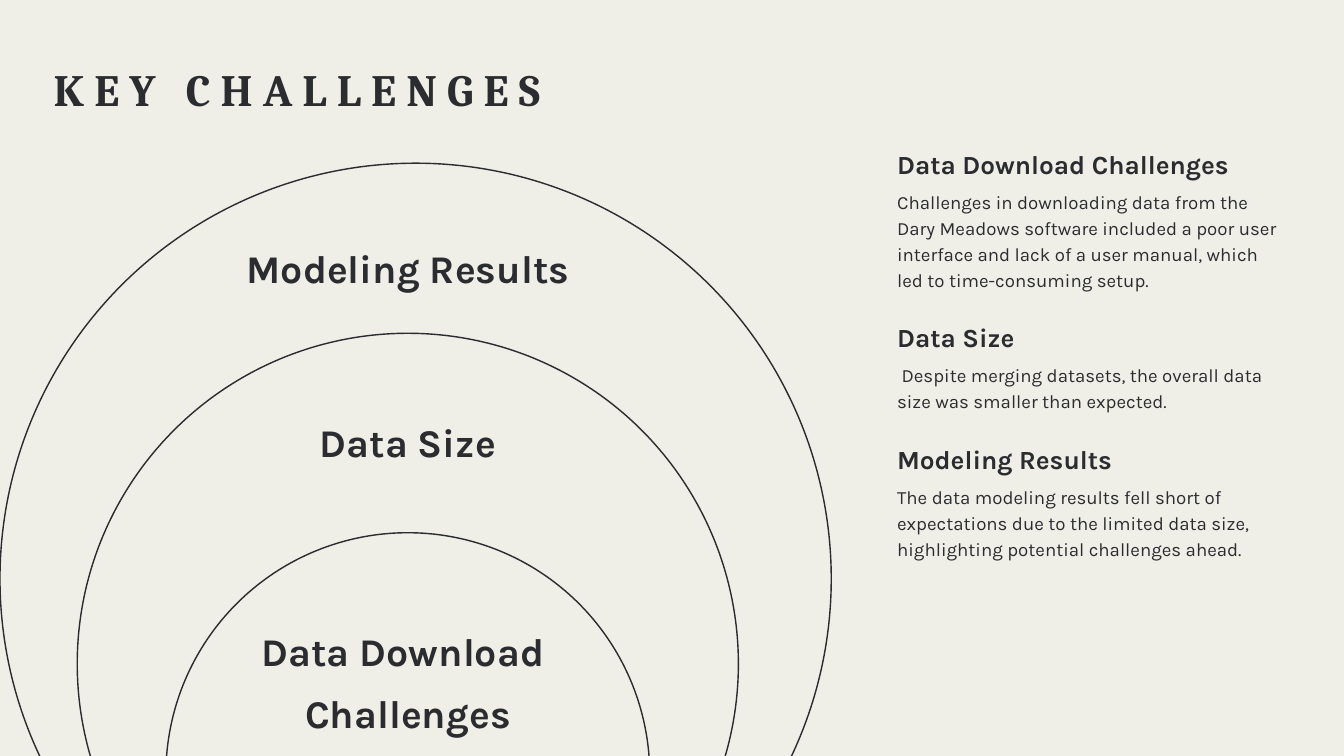
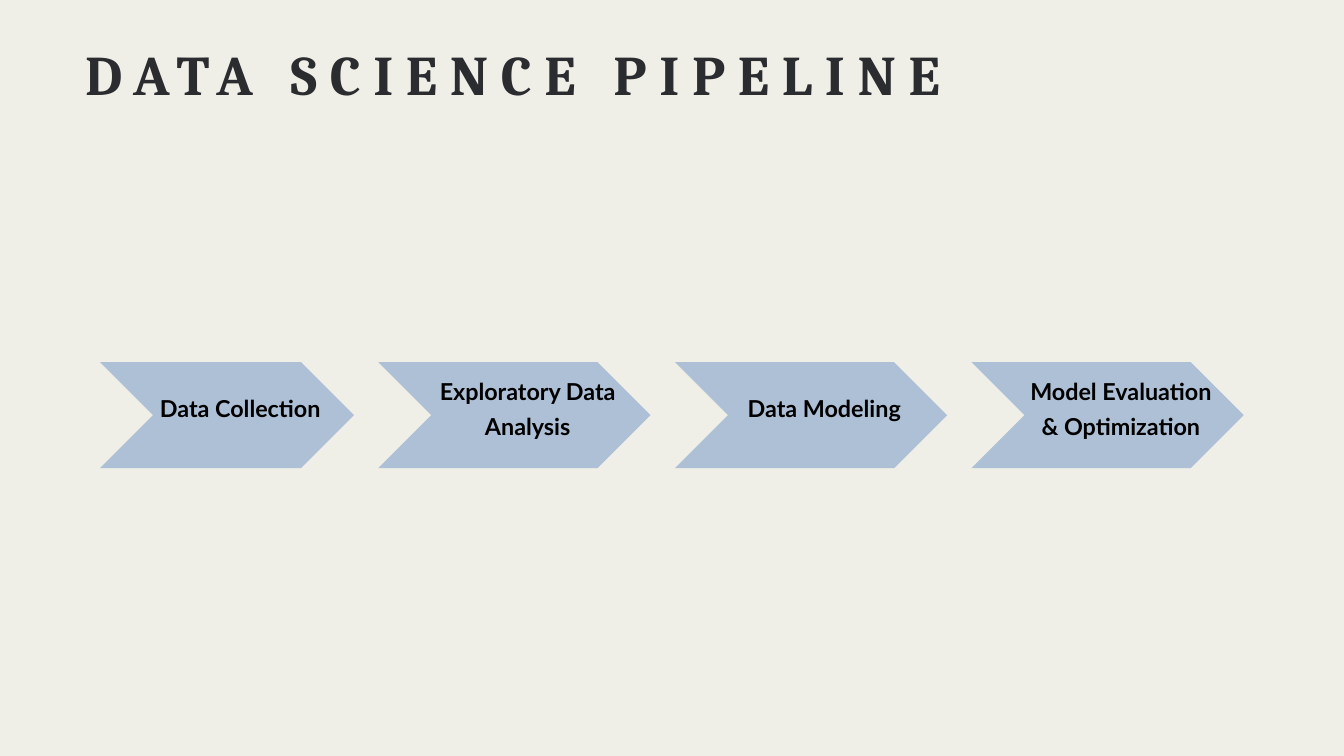
from pptx import Presentation
from pptx.dml.color import RGBColor
from pptx.enum.shapes import MSO_SHAPE
from pptx.enum.text import MSO_ANCHOR, PP_ALIGN
from pptx.util import Cm, Pt

PAPER = RGBColor(0xEF, 0xEE, 0xE7)
INK = RGBColor(0x2B, 0x2C, 0x30)
BLACK = RGBColor(0, 0, 0)
BLUE = RGBColor(0xAE, 0xC0, 0xD6)


class Deck:
    """Hold the shared style and the slide being built."""

    def __init__(self):
        self.prs = Presentation()
        self.prs.slide_width, self.prs.slide_height = Cm(50.8), Cm(28.58)
        self.s = None

    def slide(self):
        self.s = self.prs.slides.add_slide(self.prs.slide_layouts[6])
        fill = self.s.background.fill
        fill.solid()
        fill.fore_color.rgb = PAPER

    def text(self, x, y, w, h, lines, size, leading, font="Karla", color=INK, bold=True,
             align=PP_ALIGN.LEFT, anchor=MSO_ANCHOR.TOP, inset=0, spacing=None):
        tf = self.s.shapes.add_textbox(Cm(x), Cm(y), Cm(w), Cm(h)).text_frame
        tf.word_wrap = True
        tf.vertical_anchor = anchor
        tf.margin_left = tf.margin_right = tf.margin_top = tf.margin_bottom = Cm(inset)
        for i, line in enumerate(lines):
            p = tf.add_paragraph() if i else tf.paragraphs[0]
            p.alignment = align
            p.line_spacing = Pt(leading)
            r = p.add_run()
            r.text = line
            r.font.name, r.font.size, r.font.bold = font, Pt(size), bold
            r.font.color.rgb = color
            if spacing:
                r._r.get_or_add_rPr().set("spc", str(round(spacing * 100)))

    def title(self, x, y, w, h, text, size, spacing, align=PP_ALIGN.LEFT):
        self.text(x, y, w, h, [text], size, size * 1.4, font="Cambria", align=align, spacing=spacing)

    def circle(self, x, y, d):
        sp = self.s.shapes.add_shape(MSO_SHAPE.OVAL, Cm(x), Cm(y), Cm(d), Cm(d))
        sp.shadow.inherit = False
        sp.fill.background()
        sp.line.color.rgb = INK
        sp.line.width = Pt(1.5)

    def circle_label(self, y, *lines):
        self.text(8.31, y, 14.22, 2.3 * len(lines), lines, 42, 67.2, align=PP_ALIGN.CENTER)

    def note(self, y, heading, body, body_height):
        self.text(33.91, y, 14.4, 1.32, [heading], 28, 39.2)
        self.text(33.91, y + 1.66, 14.4, body_height, [body], 20, 28, bold=False)

    def step(self, x, w, label):
        sp = self.s.shapes.add_shape(MSO_SHAPE.CHEVRON, Cm(x), Cm(13.69), Cm(w), Cm(4.01))
        sp.shadow.inherit = False
        sp.fill.solid()
        sp.fill.fore_color.rgb = BLUE
        sp.line.fill.background()
        self.text(x + 1.75, 12.93, w - 2.5, 4.75, [label], 25, 37.5, font="Lato", color=BLACK,
                  align=PP_ALIGN.CENTER, anchor=MSO_ANCHOR.MIDDLE, inset=0.15)


def key_challenges(deck):
    deck.slide()
    deck.title(2.03, 2.01, 45.09, 2.26, "KEY CHALLENGES", 48, 10.9)
    for x, y, d in ((0, 6.17, 31.42), (2.92, 12.6, 24.99), (6.27, 20.14, 18.29)):
        deck.circle(x, y, d)
    deck.circle_label(8.64, "Modeling Results")
    deck.circle_label(15.24, "Data Size")
    deck.circle_label(23.11, "Data Download ", "Challenges")
    deck.note(5.41, "Data Download Challenges",
              "Challenges in downloading data from the Dary Meadows software included a poor user "
              "interface and lack of a user manual, which led to time-consuming setup.", 3.89)
    deck.note(11.96, "Data Size",
              " Despite merging datasets, the overall data size was smaller than expected.", 1.91)
    deck.note(16.56, "Modeling Results",
              "The data modeling results fell short of expectations due to the limited data size, "
              "highlighting potential challenges ahead.", 2.9)


def pipeline(deck):
    deck.slide()
    deck.title(0, 1.09, 38.78, 4.85, "DATA SCIENCE PIPELINE", 60, 13.6, PP_ALIGN.CENTER)
    x, gap = 3.78, 0.92
    steps = (("Data Collection", 9.6), ("Exploratory Data Analysis", 10.29),
             ("Data Modeling", 10.29), ("Model Evaluation & Optimization", 10.29))
    for label, w in steps:
        deck.step(x, w, label)
        x += w + gap


def main():
    deck = Deck()
    key_challenges(deck)
    pipeline(deck)
    deck.prs.save("out.pptx")


if __name__ == "__main__":
    main()
